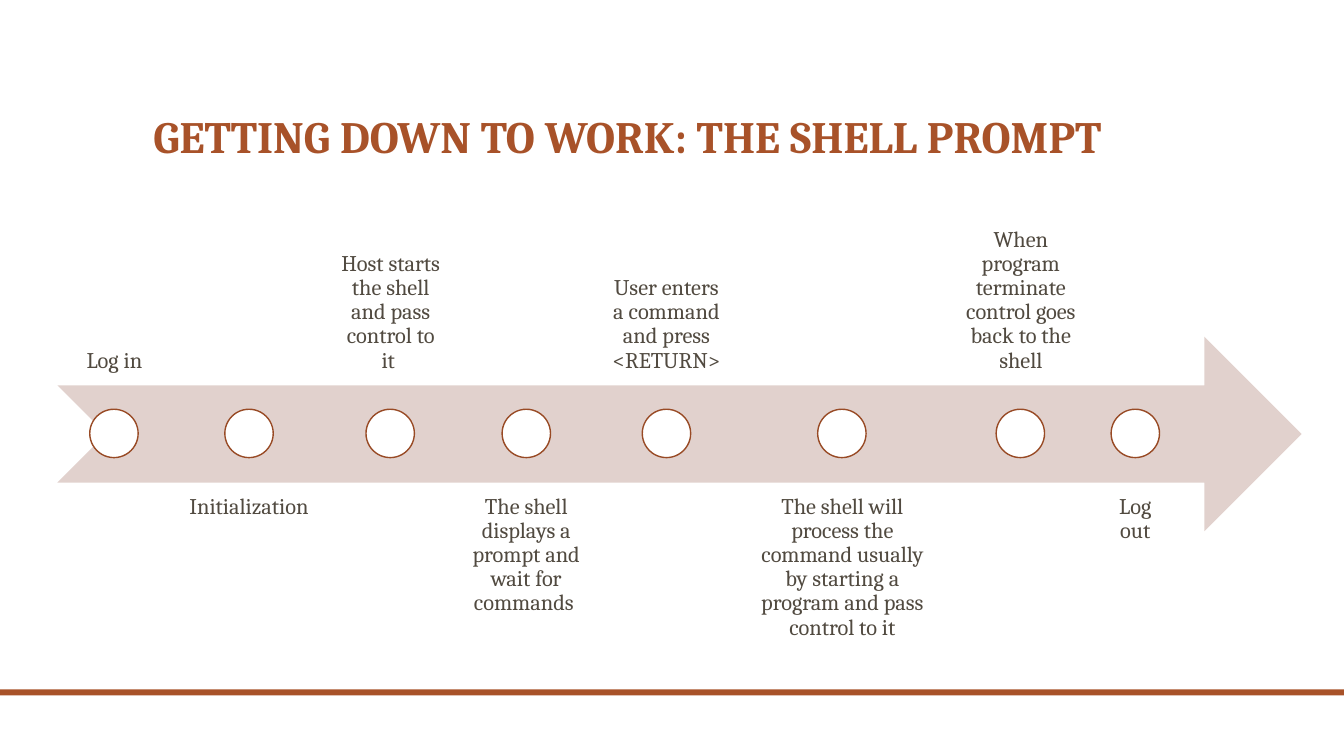
from pptx import Presentation
from pptx import util as u
from pptx.dml.color import RGBColor
from pptx.enum import shapes, text

PX = 9144
RUST = "A85229"


def color(value):
    return RGBColor.from_string(value)


def write(box, words, size, ink, align, anchor, bold=False):
    frame = box.text_frame
    frame.word_wrap = True
    frame.auto_size = text.MSO_AUTO_SIZE.NONE
    frame.vertical_anchor = anchor
    para = frame.paragraphs[0]
    para.alignment = align
    para.line_spacing = 0.9
    span = para.add_run()
    span.text = words
    span.font.name = "Cambria"
    span.font.size = u.Pt(size)
    span.font.bold = bold
    span.font.color.rgb = color(ink)
    return frame


deck = Presentation()
deck.slide_width = 1333 * PX
deck.slide_height = 750 * PX
page = deck.slides.add_slide(deck.slide_layouts[5])

band = page.shapes.add_shape(
    shapes.MSO_SHAPE.RECTANGLE, 0, 684 * PX, deck.slide_width, 6 * PX)
arrow = page.shapes.add_shape(
    shapes.MSO_SHAPE.NOTCHED_RIGHT_ARROW, 57 * PX, 334 * PX, 1234 * PX, 193 * PX)
for shape, fill in ((band, RUST), (arrow, "E1D1CD")):
    shape.shadow.inherit = False
    shape.fill.solid()
    shape.fill.fore_color.rgb = color(fill)
    shape.line.fill.background()

title = page.shapes.title
title.left, title.top = 142 * PX, 42 * PX
title.width, title.height = 1050 * PX, 125 * PX
write(title, "GETTING DOWN TO WORK: THE SHELL PROMPT", 32, RUST,
      text.PP_ALIGN.LEFT, text.MSO_ANCHOR.BOTTOM, bold=True)

steps = [
    ("Log in", 111),
    ("Initialization ", 148),
    ("Host starts the shell and pass control to it ", 125),
    ("The shell displays a prompt and wait for commands ", 136),
    ("User enters a command and press <RETURN>", 134),
    ("The shell will process the command usually by starting a program and pass control to it", 207),
    ("When program terminate control goes back to the shell", 139),
    ("Log out", 80),
]
rows = [(189, text.MSO_ANCHOR.BOTTOM), (479, text.MSO_ANCHOR.TOP)]
dot_size = 48
gap = 4
left = 58

for index, (words, width) in enumerate(steps):
    top, anchor = rows[index % 2]
    label = page.shapes.add_textbox(left * PX, top * PX, width * PX, 193 * PX)
    frame = write(label, words, 16, "514A40", text.PP_ALIGN.CENTER, anchor)
    frame.margin_left = frame.margin_right = 13 * PX
    frame.margin_top = frame.margin_bottom = 12 * PX

    dot_left = left + (width - dot_size) // 2
    dot = page.shapes.add_shape(
        shapes.MSO_SHAPE.OVAL, dot_left * PX, 406 * PX, dot_size * PX, dot_size * PX)
    dot.shadow.inherit = False
    dot.fill.solid()
    dot.fill.fore_color.rgb = color("FFFFFF")
    dot.line.color.rgb = color("984A25")
    dot.line.width = u.Pt(1)
    left += width + gap

deck.save("out.pptx")
